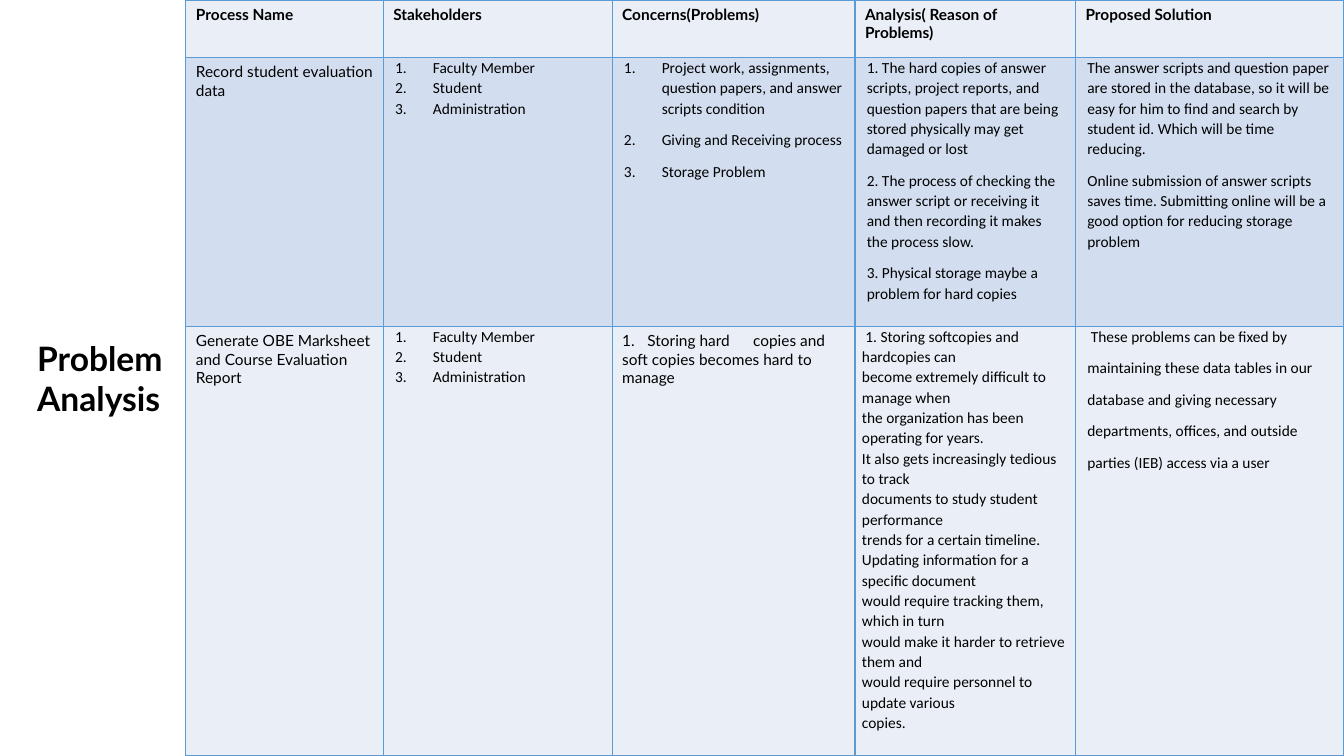
from dataclasses import dataclass

import pptx
import pptx.dml.color
import pptx.enum.text
import pptx.oxml
import pptx.oxml.ns
import pptx.util

Pt = pptx.util.Pt

BLACK, BORDER = "000000", "5B9BD5"
PALE, MEDIUM = "EAEFF7", "D2DEEF"
COLUMN_WIDTHS = (141, 163.5, 173.5, 157.5, 191.5)
ROW_HEIGHTS = (41, 192, 307)
ROW_FILLS = (PALE, MEDIUM, PALE)
TABLE_LEFT = 132.75


@dataclass(frozen=True)
class Style:
    font: str = "Calibri"
    bold: bool = False
    side_inset: float = 8.5
    top_inset: float = 0
    line_spacing: float = 1.07
    space_after: float = 0
    indent: float = 0
    tab_stops: tuple[float, ...] = ()


@dataclass(frozen=True)
class Entry:
    style: Style
    lines: tuple[str, ...]


HEADER = Style("Lato", True, 7.2, 3.6, 1)
PROCESS = Style("Lato", False, 7.2, 3.6, 1)
TABBED = Style("Lato", False, 7.2, 3.6, 1, tab_stops=(18, 93.5))
NUMBERED = Style(indent=27)
NUMBERED_SPACED = Style(indent=27, space_after=8)
SPACED = Style(space_after=8)
COMPACT = Style(side_inset=5)

headings = ("Process Name", "Stakeholders", "Concerns(Problems)",
            "Analysis( Reason of Problems)", "Proposed Solution")
stakeholders = Entry(NUMBERED, ("Faculty Member", "Student", "Administration"))

analysis_rows = (
    tuple(Entry(HEADER, (heading,)) for heading in headings),
    (
        Entry(PROCESS, ("Record student evaluation data",)),
        stakeholders,
        Entry(NUMBERED_SPACED, (
            "Project work, assignments, question papers, and answer scripts condition",
            "Giving and Receiving process",
            "Storage Problem",
        )),
        Entry(SPACED, (
            "1. The hard copies of answer scripts, project reports, and question papers "
            "that are being stored physically may get damaged or lost",
            "2. The process of checking the answer script or receiving it and then "
            "recording it makes the process slow.",
            "3. Physical storage maybe a problem for hard copies",
        )),
        Entry(SPACED, (
            "The answer scripts and question paper are stored in the database, so it will "
            "be easy for him to find and search by student id. Which will be time reducing.",
            "Online submission of answer scripts saves time. Submitting online will be a "
            "good option for reducing storage problem",
        )),
    ),
    (
        Entry(PROCESS, ("Generate OBE Marksheet and Course Evaluation Report",)),
        stakeholders,
        Entry(TABBED, ("1.\tStoring hard\tcopies and soft copies becomes hard to manage",)),
        Entry(COMPACT, (
            " 1. Storing softcopies and hardcopies can",
            "become extremely difficult to manage when",
            "the organization has been operating for years.",
            "It also gets increasingly tedious to track",
            "documents to study student performance",
            "trends for a certain timeline.",
            "Updating information for a specific document",
            "would require tracking them, which in turn",
            "would make it harder to retrieve them and",
            "would require personnel to update various",
            "copies.",
        )),
        Entry(SPACED, (
            " These problems can be fixed by",
            "maintaining these data tables in our",
            "database and giving necessary",
            "departments, offices, and outside",
            "parties (IEB) access via a user",
        )),
    ),
)


def rgb(value: str) -> pptx.dml.color.RGBColor:
    return pptx.dml.color.RGBColor.from_string(value)


def add_element(parent, tag: str, **attributes):
    element = pptx.oxml.parse_xml(f"<{tag} {pptx.oxml.ns.nsdecls('a')}/>")
    for name, value in attributes.items():
        element.set(name, str(value))
    parent.append(element)
    return element


def set_font(paragraph, name: str, size: float, bold: bool) -> None:
    paragraph.font.name = name
    paragraph.font.size = Pt(size)
    paragraph.font.bold = bold
    paragraph.font.color.rgb = rgb(BLACK)


def format_paragraph(paragraph, style: Style) -> None:
    paragraph.line_spacing = style.line_spacing
    paragraph.space_after = Pt(style.space_after)
    properties = paragraph._p.get_or_add_pPr()
    if style.indent:
        properties.set("marL", str(Pt(style.indent)))
        properties.set("indent", str(-Pt(style.indent)))
        add_element(properties, "a:buFont", typeface="+mj-lt")
        add_element(properties, "a:buAutoNum", type="arabicPeriod")
    if style.tab_stops:
        tabs = add_element(properties, "a:tabLst")
        for stop in style.tab_stops:
            add_element(tabs, "a:tab", pos=Pt(stop), algn="l")
    set_font(paragraph, style.font, 11, style.bold)


def fill_cell(cell, entry: Entry, fill: str) -> None:
    style = entry.style
    cell.margin_left = cell.margin_right = Pt(style.side_inset)
    cell.margin_top = cell.margin_bottom = Pt(style.top_inset)
    cell.vertical_anchor = pptx.enum.text.MSO_ANCHOR.TOP
    cell.text_frame.text = "\n".join(entry.lines)
    for paragraph in cell.text_frame.paragraphs:
        format_paragraph(paragraph, style)

    # Borders come before the fill in the cell properties
    properties = cell._tc.get_or_add_tcPr()
    for side in ("lnL", "lnR", "lnT", "lnB"):
        line = add_element(properties, f"a:{side}", w=Pt(1))
        add_element(add_element(line, "a:solidFill"), "a:srgbClr", val=BORDER)
    cell.fill.solid()
    cell.fill.fore_color.rgb = rgb(fill)


def add_analysis_table(slide) -> None:
    table = slide.shapes.add_table(
        len(ROW_HEIGHTS), len(COLUMN_WIDTHS), Pt(TABLE_LEFT), Pt(0),
        Pt(sum(COLUMN_WIDTHS)), Pt(sum(ROW_HEIGHTS))).table
    table.first_row = table.horz_banding = False
    for column, width in zip(table.columns, COLUMN_WIDTHS):
        column.width = Pt(width)
    for row, height, fill, entries in zip(table.rows, ROW_HEIGHTS, ROW_FILLS, analysis_rows):
        row.height = Pt(height)
        for cell, entry in zip(row.cells, entries):
            fill_cell(cell, entry, fill)


def add_title(slide) -> None:
    title = slide.shapes.add_textbox(Pt(19.5), Pt(237.5), Pt(113.5), Pt(65.5)).text_frame
    title.word_wrap = True
    title.auto_size = pptx.enum.text.MSO_AUTO_SIZE.SHAPE_TO_FIT_TEXT
    title.text = "Problem\nAnalysis"
    for paragraph in title.paragraphs:
        set_font(paragraph, "Lato", 24, True)


def main() -> None:
    presentation = pptx.Presentation()
    presentation.slide_width, presentation.slide_height = Pt(960), Pt(540)
    slide = presentation.slides.add_slide(presentation.slide_layouts[6])
    add_analysis_table(slide)
    add_title(slide)
    presentation.save("out.pptx")


if __name__ == "__main__":
    main()
